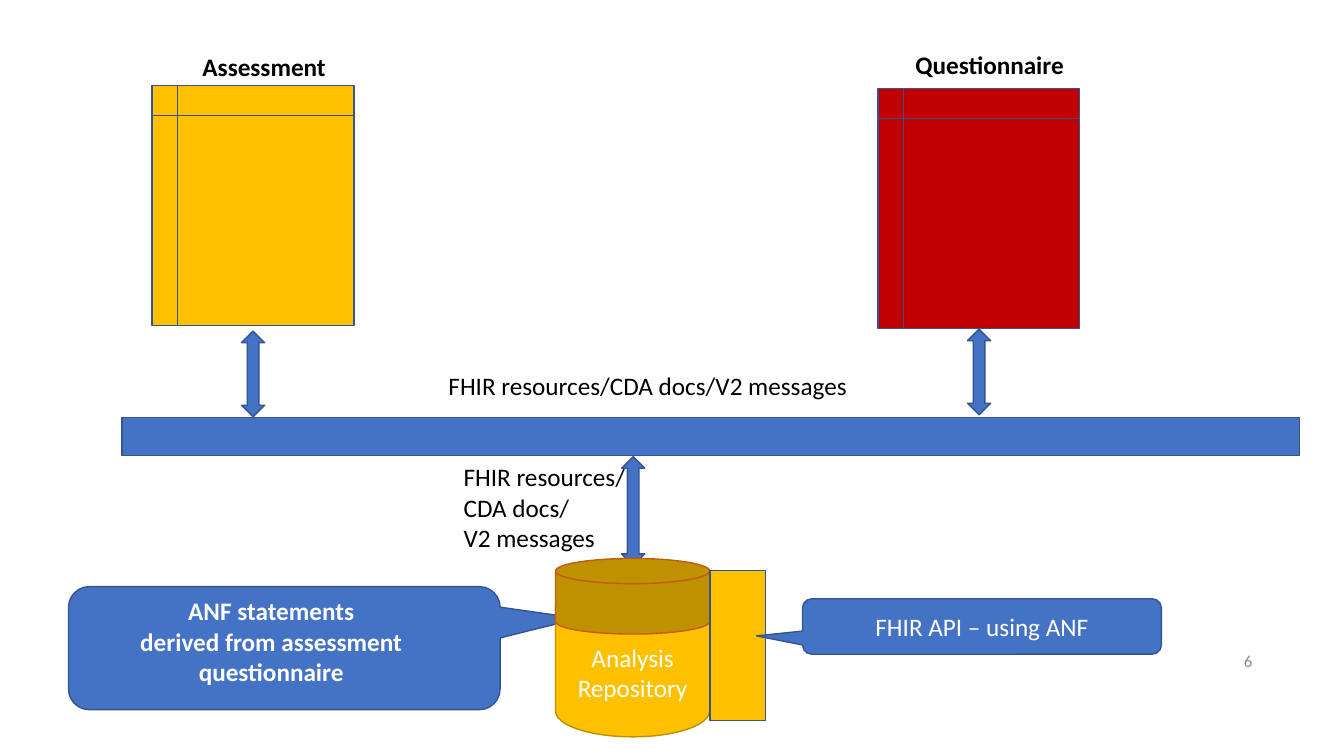
from dataclasses import dataclass

import pptx
import pptx.dml.color
import pptx.enum.shapes
import pptx.enum.text
import pptx.util

Inches = pptx.util.Inches
MSO = pptx.enum.shapes.MSO_SHAPE
ALIGN = pptx.enum.text.PP_ALIGN
ANCHOR = pptx.enum.text.MSO_ANCHOR

COLORS = {
    "blue": "4472C4", "navy": "325491", "gold": "FFC000", "gold_line": "BD8E00",
    "ochre": "BF9000", "orange": "C55A11", "red": "C00000",
    "white": "FFFFFF", "black": "000000", "gray": "8C8C8C",
}


@dataclass
class Block:
    kind: MSO
    left: float
    top: float
    width: float
    height: float
    fill: str = "blue"
    line: str = "navy"
    text: str = ""
    rotation: float = 0
    adjustments: tuple[float, ...] = ()


@dataclass
class Label:
    text: str
    left: float
    top: float
    width: float
    height: float = 0.4
    color: str = "black"
    size: float = 18
    bold: bool = False
    align: ALIGN = ALIGN.LEFT
    anchor: ANCHOR = ANCHOR.TOP
    wrap: bool = False


def rgb(name: str) -> pptx.dml.color.RGBColor:
    return pptx.dml.color.RGBColor.from_string(COLORS[name])


def set_text(tf, text: str, color: str, align: ALIGN, size: float = 18, bold: bool = False) -> None:
    tf.text = text
    for p in tf.paragraphs:
        p.alignment = align
        for r in p.runs:
            r.font.name = "Calibri"
            r.font.size = pptx.util.Pt(size)
            r.font.bold = bold
            r.font.color.rgb = rgb(color)


def draw_block(s, block: Block) -> None:
    sp = s.shapes.add_shape(block.kind, Inches(block.left), Inches(block.top),
                            Inches(block.width), Inches(block.height))
    sp.shadow.inherit = False
    sp.rotation = block.rotation
    for i, value in enumerate(block.adjustments):
        sp.adjustments[i] = value
    sp.fill.solid()
    sp.fill.fore_color.rgb = rgb(block.fill)
    sp.line.color.rgb = rgb(block.line)
    sp.line.width = pptx.util.Pt(1)
    if block.text:
        sp.text_frame.vertical_anchor = ANCHOR.MIDDLE
        set_text(sp.text_frame, block.text, "white", ALIGN.CENTER)


def draw_label(s, label: Label) -> None:
    sp = s.shapes.add_textbox(Inches(label.left), Inches(label.top),
                              Inches(label.width), Inches(label.height))
    tf = sp.text_frame
    tf.word_wrap = label.wrap
    tf.vertical_anchor = label.anchor
    set_text(tf, label.text, label.color, label.align, label.size, label.bold)


def arrow(center_x: float, center_y: float, length: float) -> Block:
    """Vertical double arrow around its centre."""
    return Block(MSO.LEFT_RIGHT_ARROW, center_x - length / 2, center_y - 0.115,
                 length, 0.23, rotation=90)


PARTS = [
    # Statement callout, page number, message bus and repository
    Block(MSO.ROUNDED_RECTANGULAR_CALLOUT, 0.68, 5.82, 4.28, 1.22,
          adjustments=(0.682, -0.242, 0.167)),
    Label("6", 9.52, 6.36, 3, color="gray", size=12, align=ALIGN.RIGHT,
          anchor=ANCHOR.MIDDLE, wrap=True),
    Block(MSO.RECTANGLE, 1.21, 4.14, 11.68, 0.38),
    Block(MSO.FLOWCHART_MAGNETIC_DISK, 5.51, 5.77, 1.53, 1.54, "gold", "gold_line",
          "Analysis Repository"),
    # Labels
    Label("FHIR resources/CDA docs/V2 messages", 4.35, 3.62, 4.2),
    Label("FHIR resources/\vCDA docs/\vV2 messages", 4.5, 4.53, 1.82, 1.01),
    Label("Assessment", 1.91, 0.46, 1.43, bold=True),
    Label("ANF statements\nderived from assessment\vquestionnaire", 1.28, 5.86, 2.82, 1.01,
          color="white", bold=True, align=ALIGN.CENTER),
    Label("Questionnaire", 8.98, 0.44, 1.69, bold=True),
    # Arrows to and from the bus
    arrow(2.51, 3.71, 0.85),
    arrow(6.28, 5.07, 1.08),
    arrow(9.71, 3.69, 0.85),
    # Source forms
    Block(MSO.FLOWCHART_INTERNAL_STORAGE, 1.51, 0.85, 2, 2.38, "gold"),
    Block(MSO.FLOWCHART_INTERNAL_STORAGE, 8.71, 0.88, 2, 2.38, "red"),
    # Repository lid and API
    Block(MSO.FLOWCHART_MAGNETIC_DISK, 5.51, 5.54, 1.53, 0.75, "ochre", "orange"),
    Block(MSO.FLOWCHART_PROCESS, 7.04, 5.66, 0.55, 1.49, "gold"),
    Block(MSO.ROUNDED_RECTANGULAR_CALLOUT, 7.96, 5.94, 3.56, 0.55,
          text="FHIR API – using ANF", adjustments=(-0.628, 0.17, 0.167)),
]


def main() -> None:
    prs = pptx.Presentation()
    prs.slide_width, prs.slide_height = Inches(13.33), Inches(7.5)
    s = prs.slides.add_slide(prs.slide_layouts[6])
    for part in PARTS:
        if isinstance(part, Block):
            draw_block(s, part)
        else:
            draw_label(s, part)
    prs.save("out.pptx")


if __name__ == "__main__":
    main()
